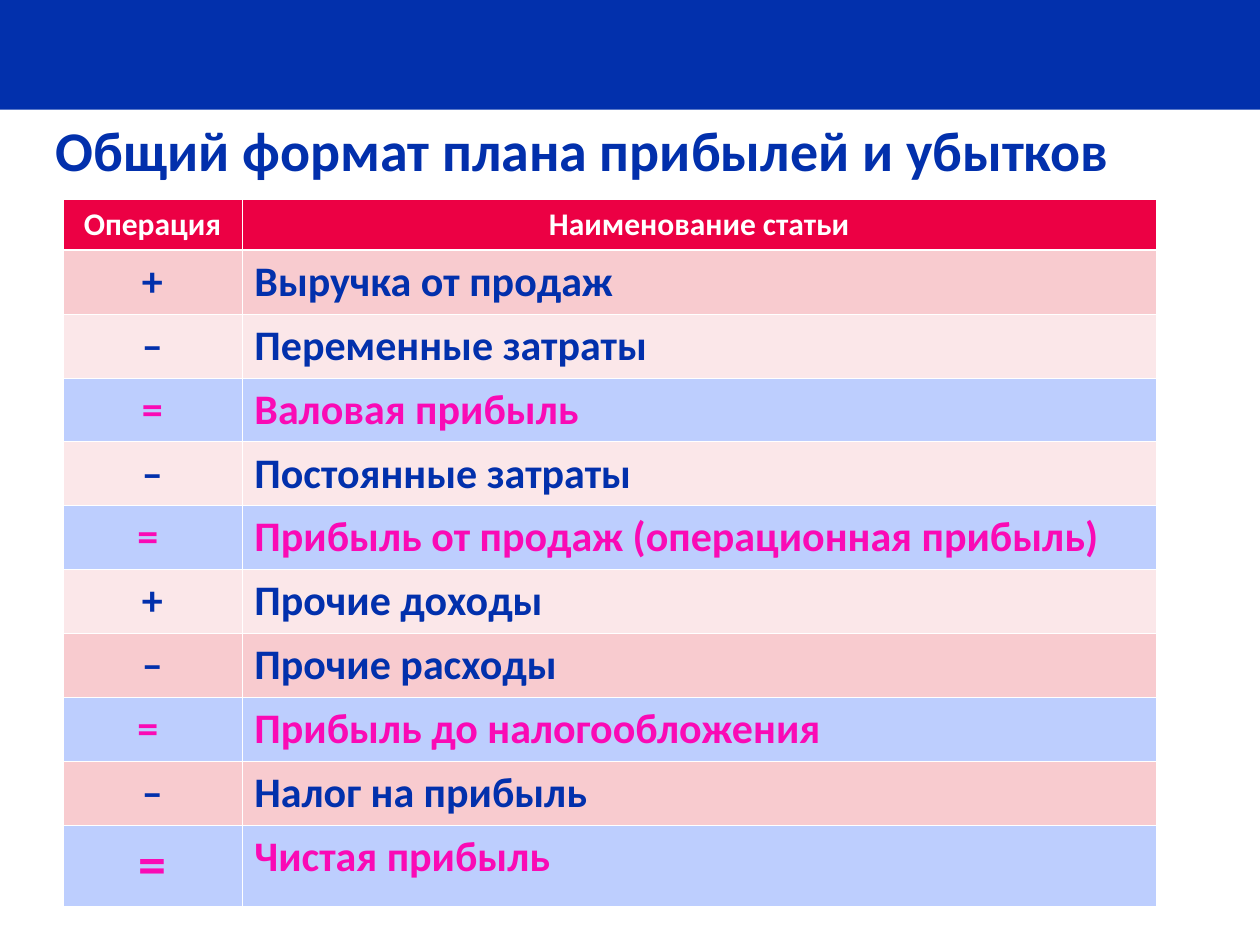
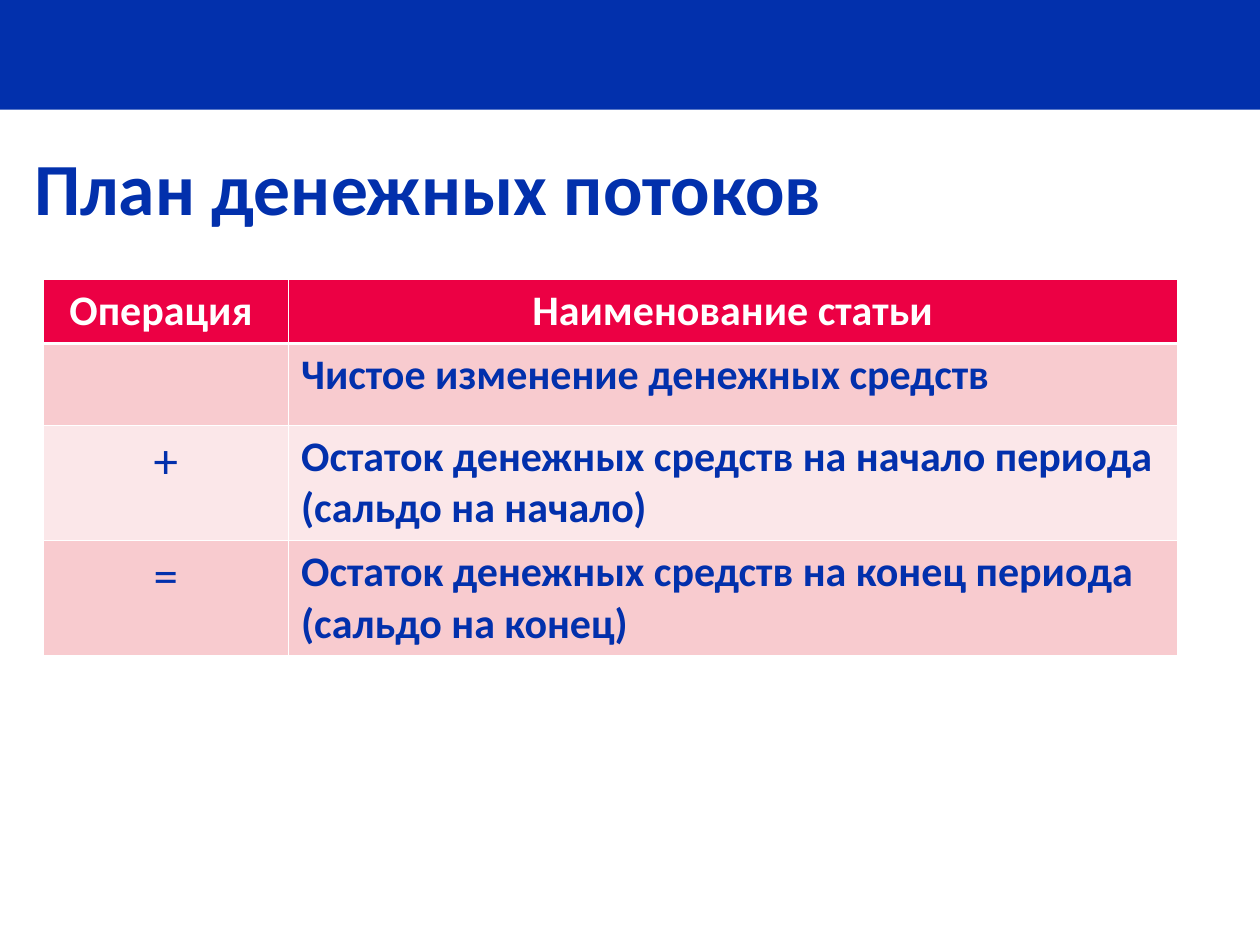
from dataclasses import dataclass

from lxml import etree
from pptx import Presentation
from pptx.dml.color import RGBColor
from pptx.enum.shapes import MSO_SHAPE
from pptx.enum.text import MSO_ANCHOR, MSO_AUTO_SIZE, PP_ALIGN
from pptx.oxml.ns import qn
from pptx.util import Inches, Pt

RECTANGLE = MSO_SHAPE.RECTANGLE
TOP, MIDDLE = MSO_ANCHOR.TOP, MSO_ANCHOR.MIDDLE
LEFT, CENTER = PP_ALIGN.LEFT, PP_ALIGN.CENTER
FIXED_SIZE = MSO_AUTO_SIZE.NONE
TITLE_ONLY = 5


@dataclass(frozen=True)
class Theme:
    """Colours, font and type sizes of the presentation."""

    font: str = "Calibri"
    blue: str = "0230AC"
    white: str = "FFFFFF"
    header: str = "EC0044"
    bands: tuple = ("F8CBCF", "FBE7E9")
    result_fill: str = "BDCEFE"
    result_text: str = "FA0AB5"
    small: int = 18
    body: int = 24
    sign: int = 28
    large: int = 32
    title: int = 42
    thin_line: float = 0.45
    header_line: float = 1.47


@dataclass(frozen=True)
class Style:
    """Look of one table cell's text and background."""

    fill: str
    color: str
    size: int
    bold: bool = True
    alignment: PP_ALIGN = LEFT


THEME = Theme()

PROFIT_ROWS = [
    ("+", "Выручка от продаж"),
    ("–", "Переменные затраты"),
    ("=", "Валовая прибыль"),
    ("–", "Постоянные затраты"),
    ("= ", "Прибыль от продаж (операционная прибыль)"),
    ("+", "Прочие доходы"),
    ("–", "Прочие расходы"),
    ("= ", "Прибыль до налогообложения"),
    ("–", "Налог на прибыль"),
    ("=", "Чистая прибыль"),
]
CASH_ROWS = [
    ("", "Чистое изменение денежных средств"),
    ("+", "Остаток денежных средств на начало периода (сальдо на начало)"),
    ("=", "Остаток денежных средств на конец периода (сальдо на конец)"),
]


def set_font(paragraph, size, color, bold=True):
    """Apply the theme font to a whole paragraph."""
    font = paragraph.font
    font.name = THEME.font
    font.size = Pt(size)
    font.bold = bold
    font.color.rgb = RGBColor.from_string(color)


def add_layout_band(presentation, slide, layout):
    """Put the blue top band on the layout that the slides share."""
    band = slide.shapes.add_shape(RECTANGLE, 0, 0, presentation.slide_width, Inches(0.87))
    band.shadow.inherit = False
    band.fill.solid()
    band.fill.fore_color.rgb = RGBColor.from_string(THEME.blue)
    band.line.fill.background()
    layout.shapes.element.insert(2, band.element)


def place_title(slide, text, box, size, anchor=MIDDLE, inset_left=0.1, inset_top=0.05):
    """Move, fill and format the title placeholder."""
    title = slide.shapes.title
    title.left, title.top, title.width, title.height = map(Inches, box)
    frame = title.text_frame
    frame.text = text
    frame.word_wrap = True
    frame.auto_size = FIXED_SIZE
    frame.vertical_anchor = anchor
    frame.margin_left = Inches(inset_left)
    frame.margin_top = Inches(inset_top)
    paragraph = frame.paragraphs[0]
    paragraph.alignment = LEFT
    set_font(paragraph, size, THEME.blue)


def set_borders(cell, row):
    """Draw white cell borders, heavier under the header row."""
    properties = cell._tc.get_or_add_tcPr()
    heavy_side = {0: "lnB", 1: "lnT"}.get(row)
    for side in ("lnL", "lnR", "lnT", "lnB"):
        width = THEME.header_line if side == heavy_side else THEME.thin_line
        line = etree.SubElement(properties, qn(f"a:{side}"), w=str(Pt(width)))
        fill = etree.SubElement(line, qn("a:solidFill"))
        etree.SubElement(fill, qn("a:srgbClr"), val=THEME.white)


def write_cell(cell, text, row, style):
    """Fill one table cell."""
    set_borders(cell, row)
    cell.fill.solid()
    cell.fill.fore_color.rgb = RGBColor.from_string(style.fill)
    cell.text = text
    paragraph = cell.text_frame.paragraphs[0]
    paragraph.alignment = style.alignment
    set_font(paragraph, style.size, style.color, style.bold)


def add_statement_table(slide, origin, widths, heights, header, rows, header_size,
                        sign_sizes, bold_signs=True, mark_results=False):
    """Add a table of operation signs and article names."""
    box = (*origin, sum(widths), sum(heights))
    table = slide.shapes.add_table(len(heights), len(widths), *map(Inches, box)).table
    for column, width in zip(table.columns, widths):
        column.width = Inches(width)
    for table_row, height in zip(table.rows, heights):
        table_row.height = Inches(height)
    header_style = Style(THEME.header, THEME.white, header_size, alignment=CENTER)
    for column, text in enumerate(header):
        write_cell(table.cell(0, column), text, 0, header_style)
    for row, ((sign, article), sign_size) in enumerate(zip(rows, sign_sizes), 1):
        fill, color = THEME.bands[(row - 1) % 2], THEME.blue
        if mark_results and sign.startswith("="):
            fill, color = THEME.result_fill, THEME.result_text
        sign_style = Style(fill, color, sign_size, bold_signs, CENTER)
        write_cell(table.cell(row, 0), sign, row, sign_style)
        write_cell(table.cell(row, 1), article, row, Style(fill, color, THEME.body))


def build_profit_slide(slide):
    """Build the profit and loss plan."""
    place_title(slide, "Общий формат плана прибылей и убытков", (0.24, 0.9, 9.5, 1.12),
                THEME.large, TOP, inset_left=0.2, inset_top=0.02)
    add_statement_table(
        slide, (0.5, 1.58), (1.42, 7.26), [0.4] + [0.5] * 9 + [0.63],
        ("Операция", "Наименование статьи"), PROFIT_ROWS, THEME.small,
        [THEME.body] * 9 + [THEME.large], mark_results=True)


def build_cash_slide(slide):
    """Build the cash flow plan."""
    add_statement_table(
        slide, (0.34, 2.22), (1.95, 7.05), (0.5, 0.65, 0.9, 0.9),
        ("Операция ", "Наименование статьи"), CASH_ROWS, THEME.body,
        [THEME.sign] * 3, bold_signs=False)
    place_title(slide, "План денежных потоков", (0.17, 1.03, 9, 0.9), THEME.title)


def main():
    """Create and save the presentation."""
    presentation = Presentation()
    presentation.slide_width = Inches(10)
    presentation.slide_height = Inches(7.5)
    layout = presentation.slide_layouts[TITLE_ONLY]
    profit_slide, cash_slide = (presentation.slides.add_slide(layout) for _ in range(2))
    add_layout_band(presentation, profit_slide, layout)
    build_profit_slide(profit_slide)
    build_cash_slide(cash_slide)
    presentation.save("out.pptx")


if __name__ == "__main__":
    main()
